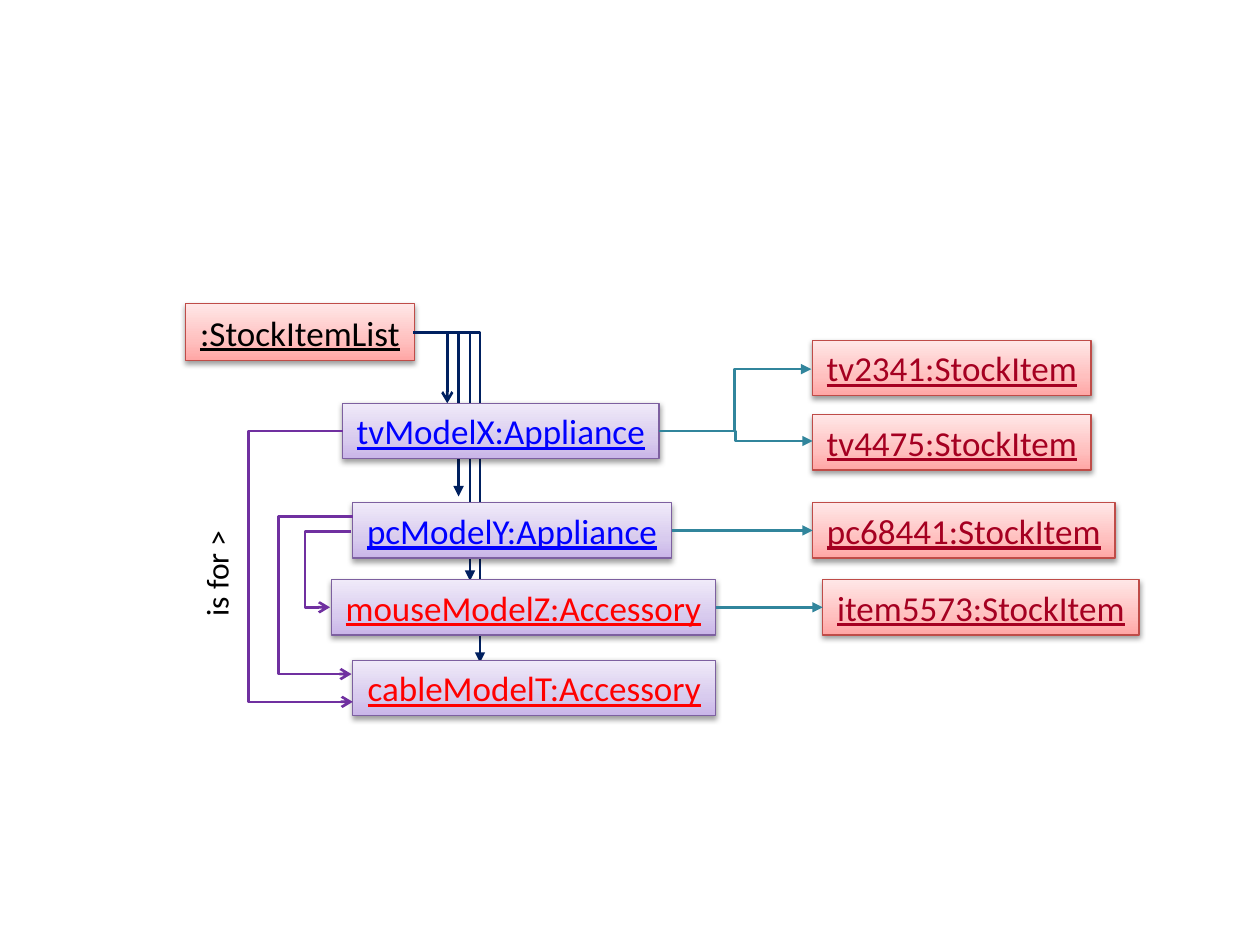
"""Build an object diagram of a stock list, its models and their stock items."""
from copy import deepcopy

from pptx import Presentation
from pptx.dml.color import RGBColor
from pptx.enum.shapes import MSO_CONNECTOR as Conn, MSO_SHAPE as Shape
from pptx.enum.text import MSO_ANCHOR as Anchor, MSO_AUTO_SIZE as AutoSize, PP_ALIGN as Align
from pptx.oxml.ns import qn
from pptx.oxml import parse_xml
from pptx.util import Inches, Pt

WIDTH, HEIGHT = Inches(10), Inches(7.5)
NS = 'xmlns:a="http://schemas.openxmlformats.org/drawingml/2006/main"'
SHADOW = (f'<a:outerShdw {NS} blurRad="40000" dist="20000" dir="5400000" rotWithShape="0">'
          '<a:srgbClr val="000000"><a:alpha val="38000"/></a:srgbClr></a:outerShdw>')
STOPS = (0, 0.35, 1)
PINK = (("FFA6A5", "FFC0BF", "FFE7E7"), "BF4C48")
LILAC = (("C9B5E8", "D8CBEE", "F0EAF9"), "7D60A0")
NAVY, TEAL, PURPLE = "002060", "31859C", "7030A0"
BLACK, WINE, BLUE, RED = "000000", "A50021", "0000FF", "FF0000"

BOX_H = 5.87
LIST = (":StockItemList", 14.7, 32.13, 18.2, 6, PINK, BLACK)
ITEMS = [
    ("tv2341:StockItem", 64.5, 36, 22.1, BOX_H, PINK, WINE),
    ("tv4475:StockItem", 64.5, 43.87, 22.1, BOX_H, PINK, WINE),
    ("pc68441:StockItem", 64.5, 53.2, 24, BOX_H, PINK, WINE),
    ("item5573:StockItem", 65.3, 61.33, 25.1, BOX_H, PINK, WINE),
]
MODELS = [
    ("tvModelX:Appliance", 27.2, 42.67, 25.1, BOX_H, LILAC, BLUE),
    ("pcModelY:Appliance", 28, 53.2, 25.3, BOX_H, LILAC, BLUE),
    ("mouseModelZ:Accessory", 26.3, 61.33, 30.5, BOX_H, LILAC, RED),
    ("cableModelT:Accessory", 28, 69.87, 28.8, BOX_H, LILAC, RED),
]
LIST_PORT = (32.8, 35.2)
LIST_ENDS = [(35.5, 42.67, "arrow"), (36.4, 52.53, "triangle"),
             (37.3, 61.47, "triangle"), (38.1, 70.13, "triangle")]
ITEM_LINKS = [((52.3, 45.6), (64.4, 39.07), 58.3), ((52.3, 45.6), (64.5, 46.67), 58.4)]
STRAIGHT_LINKS = [("pcModelY:Appliance", "pc68441:StockItem"),
                  ("mouseModelZ:Accessory", "item5573:StockItem")]
IS_FOR_LINKS = [((27.9, 56.27), (26.2, 64.27), 24.2),
                ((28, 54.67), (27.9, 71.33), 22),
                ((27.2, 45.6), (28, 74.27), 19.7)]


def rgb(value):
    """Turn a hex string into a colour."""
    return RGBColor.from_string(value)


def place(x, y):
    """Turn percentages of the slide's width and height into lengths."""
    return round(WIDTH * x / 100), round(HEIGHT * y / 100)


def write(sp, text, size, color, underline=None):
    """Put one centred, unwrapped line of text into a shape."""
    tf = sp.text_frame
    layout = {"word_wrap": False, "vertical_anchor": Anchor.MIDDLE,
              "auto_size": AutoSize.SHAPE_TO_FIT_TEXT}
    for name, value in layout.items():
        setattr(tf, name, value)
    p = tf.paragraphs[0]
    p.alignment = Align.CENTER
    r = p.add_run()
    r.text = text
    for name, value in {"name": "Calibri", "size": Pt(size), "underline": underline}.items():
        setattr(r.font, name, value)
    r.font.color.rgb = rgb(color)


def add_box(s, text, x, y, w, h, palette, color):
    """Add an object box with a gradient and a soft shadow."""
    shades, edge = palette
    sp = s.shapes.add_shape(Shape.RECTANGLE, *place(x, y), *place(w, h))
    sp.fill.gradient()
    stops = sp._element.spPr.find(".//" + qn("a:gsLst"))
    stops.insert(1, deepcopy(stops[0]))
    for stop, shade, position in zip(sp.fill.gradient_stops, shades, STOPS):
        stop.color.rgb, stop.position = rgb(shade), position
    sp.fill.gradient_angle = 90
    sp.line.color.rgb, sp.line.width = rgb(edge), Pt(0.75)
    sp.shadow.inherit = False
    sp._element.spPr.find(qn("a:effectLst")).append(parse_xml(SHADOW))
    write(sp, text, 20, color, True)
    return sp


def add_arrow(s, kind, start, end, color, head):
    """Add a connector that ends in an arrowhead."""
    c = s.shapes.add_connector(kind, *place(*start), *place(*end))
    c.line.color.rgb, c.line.width = rgb(color), Pt(1.5)
    c.line._get_or_add_ln().append(parse_xml(f'<a:tailEnd {NS} type="{head}"/>'))
    c._element.spPr.append(parse_xml(f"<a:effectLst {NS}/>"))
    return c


def add_bend(s, start, end, color, head, via=None):
    """Add an elbow with one corner, or with two corners at the column via."""
    c = add_arrow(s, Conn.ELBOW, start, end, color, head)
    geometry = c._element.spPr.find(qn("a:prstGeom"))
    if via is None:
        geometry.set("prst", "bentConnector2")
        return
    share = round(100000 * (via - start[0]) / (end[0] - start[0]))
    geometry.find(qn("a:avLst")).append(
        parse_xml(f'<a:gd {NS} name="adj1" fmla="val {share}"/>'))


def add_label(s, text, x, y, w, h):
    """Add a label that reads upwards."""
    sp = s.shapes.add_textbox(*place(x, y), *place(w, h))
    sp.rotation = 270
    write(sp, text, 18, BLACK)


def main():
    """Build the slide and save it."""
    prs = Presentation()
    prs.slide_width, prs.slide_height = WIDTH, HEIGHT
    s = prs.slides.add_slide(prs.slide_layouts[6])
    add_box(s, *LIST)
    for x, y, head in LIST_ENDS:
        add_bend(s, LIST_PORT, (x, y), NAVY, head)
    boxes = {box[0]: add_box(s, *box) for box in ITEMS + MODELS}
    for start, end, via in ITEM_LINKS:
        add_bend(s, start, end, TEAL, "triangle", via)
    for model, item in STRAIGHT_LINKS:
        c = add_arrow(s, Conn.STRAIGHT, (0, 0), (1, 1), TEAL, "triangle")
        c.begin_connect(boxes[model], 3)
        c.end_connect(boxes[item], 1)
    for start, end, via in IS_FOR_LINKS:
        add_bend(s, start, end, PURPLE, "arrow", via)
    add_label(s, " is for >", 12.4, 58.4, 9.5, 5.33)
    prs.save("out.pptx")


if __name__ == "__main__":
    main()
